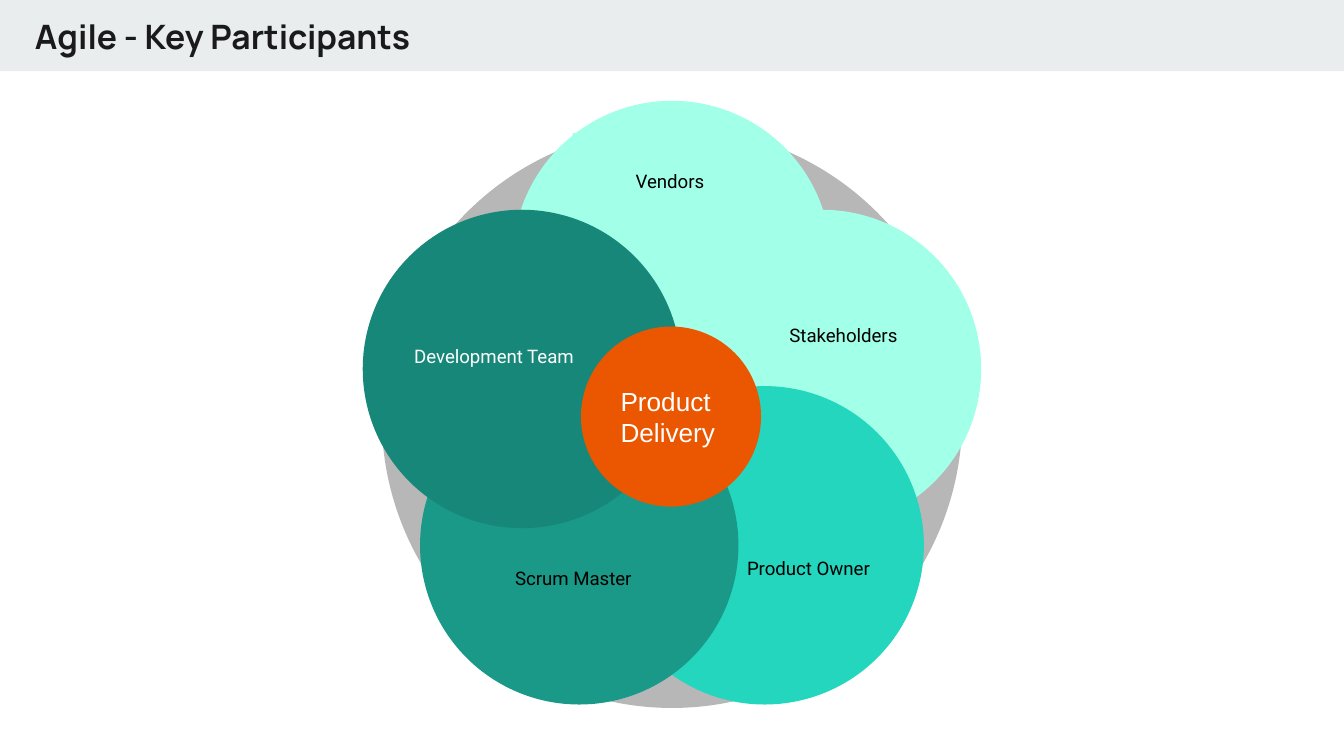
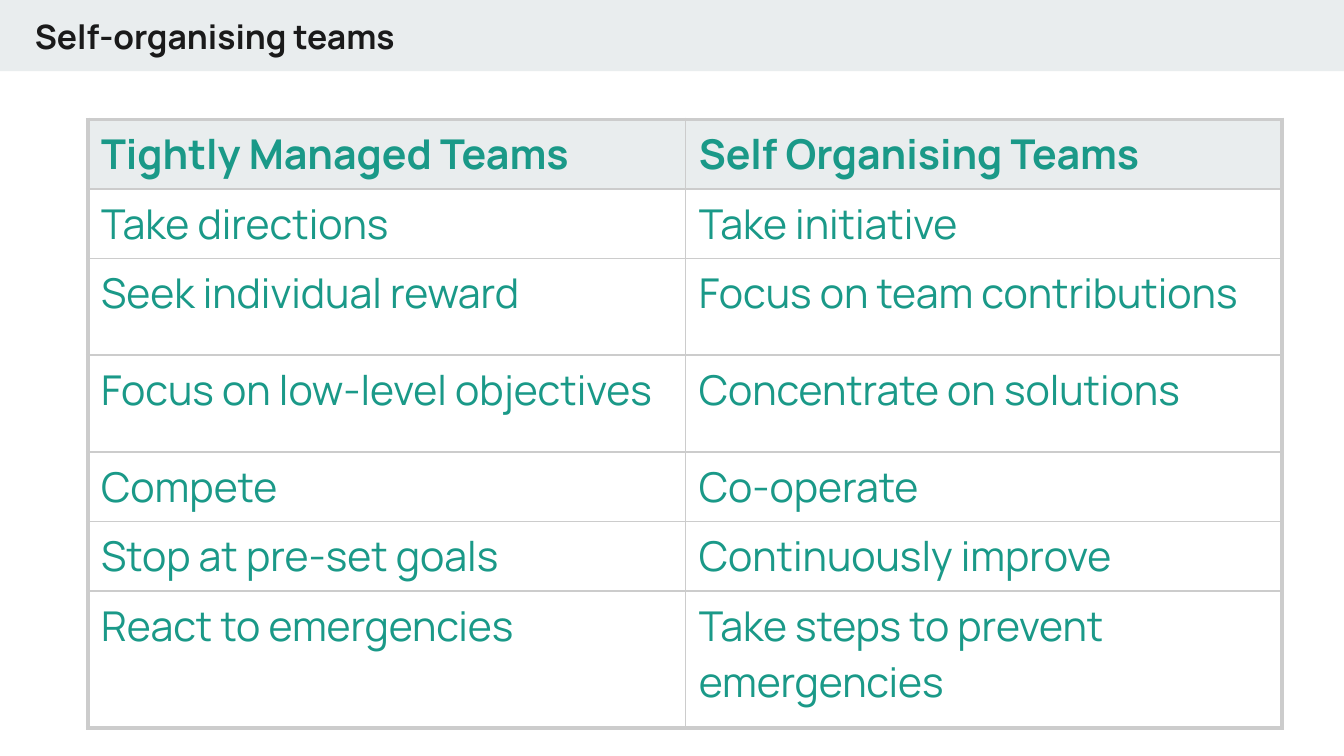
from math import cos, radians, sin

from lxml.etree import SubElement
from pptx import Presentation
from pptx.dml.color import RGBColor
from pptx.enum.shapes import MSO_SHAPE
from pptx.enum.text import MSO_ANCHOR, MSO_AUTO_SIZE, PP_ALIGN
from pptx.oxml.ns import qn
from pptx.util import Pt

# Content
DIAGRAM_TITLE = "Agile - Key Participants"
HUB = "Product Delivery"
# Clockwise from the top: label, circle colour, text colour, label left and top
PARTICIPANTS = [
    ("Vendors", "A2FFE8", "000000", 306.7, 71.3),
    ("Stakeholders", "A2FFE8", "000000", 399.6, 153.4),
    ("Product Owner", "24D6BE", "000000", 380.9, 278.6),
    ("Scrum Master", "1A9988", "000000", 254.9, 283.7),
    ("Development Team", "168778", "FFFFFF", 212.4, 164.9),
]

TABLE_TITLE = "Self-organising teams"
# Left cell, right cell, row height
TEAM_ROWS = [
    ("Tightly Managed Teams", "Self Organising Teams", 29.5),
    ("Take directions", "Take initiative", 29.5),
    ("Seek individual reward", "Focus on team contributions", 51.8),
    ("Focus on low-level objectives", "Concentrate on solutions", 51.8),
    ("Compete", "Co-operate", 29.5),
    ("Stop at pre-set goals", "Continuously improve", 29.5),
    ("React to emergencies", "Take steps to prevent emergencies", 73.5),
]

# Shared style
WIDTH, HEIGHT = 720, 405
BAND, INK, TEAL, GREY, RULE, ORANGE = (
    "E9EDEE", "1A1A1A", "1A9988", "B7B7B7", "CCCCCC", "EB5600")
HEADING_FONT, LABEL_FONT, HUB_FONT = "Manrope", "Roboto", "Arial"
INSET = 7.2

# Diagram geometry
CENTRE_X, CENTRE_Y = 360, 223.8
ORBIT = 84.5
RING_SIZE, CIRCLE_SIZE, HUB_SIZE = 311, 170.6, 96.5
LABEL_WIDTH, LABEL_HEIGHT = 104.4, 51.8


def colour(code):
    return RGBColor.from_string(code)


def write(frame, text, font, size, code, bold=False, align=PP_ALIGN.LEFT):
    frame.text = text
    para = frame.paragraphs[0]
    para.alignment = align
    para.font.name = font
    para.font.size = Pt(size)
    para.font.bold = bold
    para.font.color.rgb = colour(code)


def set_frame(frame):
    frame.word_wrap = True
    frame.auto_size = MSO_AUTO_SIZE.NONE
    frame.vertical_anchor = MSO_ANCHOR.MIDDLE
    frame.margin_left = frame.margin_right = Pt(INSET)
    frame.margin_top = frame.margin_bottom = Pt(INSET)


def add_box(shapes, kind, left, top, width, height, fill):
    box = shapes.add_shape(kind, Pt(left), Pt(top), Pt(width), Pt(height))
    box.shadow.inherit = False
    box.line.fill.background()
    if fill:
        box.fill.solid()
        box.fill.fore_color.rgb = colour(fill)
    else:
        box.fill.background()
    return box


def add_circle(shapes, x, y, size, fill):
    return add_box(shapes, MSO_SHAPE.OVAL, x - size / 2, y - size / 2,
                   size, size, fill)


def style_layout(layout, page):
    """Put the header band and the title's place on the layout."""
    band = add_box(page.shapes, MSO_SHAPE.RECTANGLE, 0, 0, WIDTH, 38.2, BAND)
    layout.shapes._spTree.insert(2, band._element)
    title = layout.placeholders[0]
    title.left, title.top = Pt(11.5), Pt(-2)
    title.width, title.height = Pt(605.5), Pt(42.5)
    set_frame(title.text_frame)


def set_title(page, text):
    write(page.shapes.title.text_frame, text, HEADING_FONT, 18, INK, bold=True)


def draw_participants(page):
    add_circle(page.shapes, CENTRE_X, CENTRE_Y, RING_SIZE, GREY)
    step = 360 / len(PARTICIPANTS)
    for index, (label, fill, ink, left, top) in enumerate(PARTICIPANTS):
        angle = radians(index * step - 90)
        group = page.shapes.add_group_shape()
        add_circle(group.shapes, CENTRE_X + ORBIT * cos(angle),
                   CENTRE_Y + ORBIT * sin(angle), CIRCLE_SIZE, fill)
        # The last label lies clear on its circle
        plate = None if label == PARTICIPANTS[-1][0] else fill
        box = add_box(group.shapes, MSO_SHAPE.RECTANGLE, left, top,
                      LABEL_WIDTH, LABEL_HEIGHT, plate)
        set_frame(box.text_frame)
        write(box.text_frame, label, LABEL_FONT, 10, ink,
              align=PP_ALIGN.CENTER)
    hub = add_circle(page.shapes, CENTRE_X - 0.5, CENTRE_Y - 0.6, HUB_SIZE,
                     ORANGE)
    set_frame(hub.text_frame)
    write(hub.text_frame, HUB, HUB_FONT, 14, "FFFFFF")


def set_borders(cell, outer):
    """Draw thick lines on the outer sides and thin lines on the others."""
    properties = cell._tc.get_or_add_tcPr()
    for side in "LRTB":
        width = Pt(2.25 if side in outer else 1)
        line = SubElement(properties, qn(f"a:ln{side}"), w=str(int(width)))
        fill = SubElement(line, qn("a:solidFill"))
        SubElement(fill, qn("a:srgbClr"), val=RULE)


def draw_team_table(page):
    widths = (320.2, 319.8)
    heights = [row[-1] for row in TEAM_ROWS]
    frame = page.shapes.add_table(len(TEAM_ROWS), len(widths), Pt(47), Pt(64),
                                  Pt(sum(widths)), Pt(sum(heights)))
    table = frame.table
    table.first_row = table.horz_banding = False
    for column, width in zip(table.columns, widths):
        column.width = Pt(width)
    last = len(TEAM_ROWS) - 1
    for number, (*texts, height) in enumerate(TEAM_ROWS):
        table.rows[number].height = Pt(height)
        for place, text in enumerate(texts):
            cell = table.cell(number, place)
            cell.margin_left = cell.margin_right = Pt(INSET)
            cell.margin_top = cell.margin_bottom = Pt(INSET / 2)
            outer = "LR"[place] + {0: "T", last: "B"}.get(number, "")
            set_borders(cell, outer)
            if number == 0:
                cell.fill.solid()
                cell.fill.fore_color.rgb = colour(BAND)
            else:
                cell.fill.background()
            write(cell.text_frame, text, HEADING_FONT, 22, TEAL,
                  bold=number == 0)


def main():
    deck = Presentation()
    deck.slide_width, deck.slide_height = Pt(WIDTH), Pt(HEIGHT)
    layout = deck.slide_layouts[5]
    slides = [(DIAGRAM_TITLE, draw_participants), (TABLE_TITLE, draw_team_table)]
    for number, (title, draw) in enumerate(slides):
        page = deck.slides.add_slide(layout)
        if number == 0:
            style_layout(layout, page)
        set_title(page, title)
        draw(page)
    deck.save("out.pptx")


if __name__ == "__main__":
    main()
